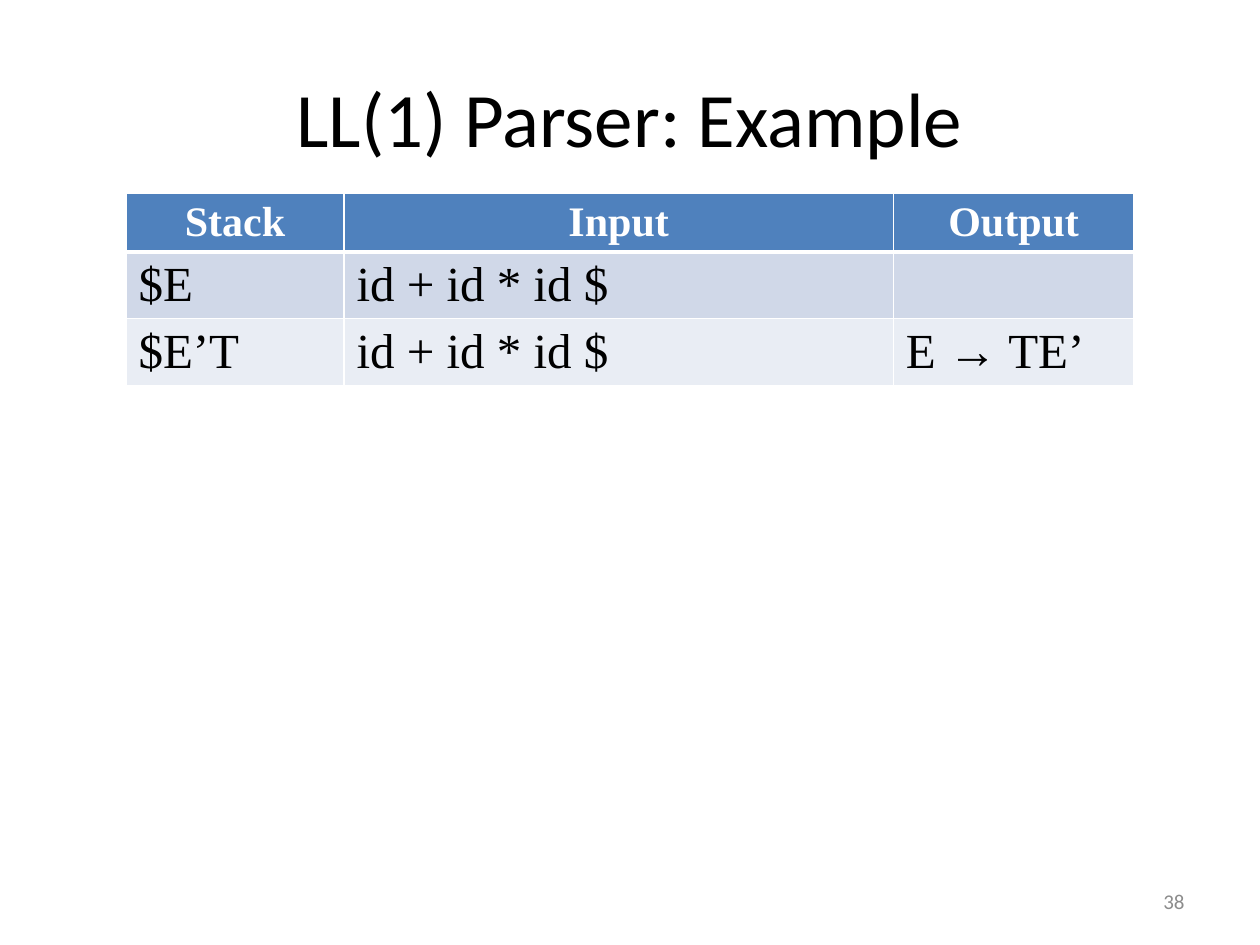
from dataclasses import dataclass

from lxml.etree import SubElement
from pptx import Presentation
from pptx.dml.color import RGBColor
from pptx.enum.text import MSO_ANCHOR as Anchor, PP_ALIGN as Align
from pptx.oxml.ns import qn
from pptx.util import Inches, Pt


@dataclass(frozen=True)
class Theme:
    heading_font: str = "Calibri"
    table_font: str = "Times New Roman"
    title_size: int = 44
    header_size: int = 24
    body_size: int = 28
    number_size: int = 12
    text: str = "000000"
    light: str = "FFFFFF"
    muted: str = "8C8C8C"
    header_fill: str = "4F81BD"
    bands: tuple = ("D0D8E8", "E9EDF4")
    thin_border: int = 1
    thick_border: int = 3


class SlideBuilder:
    """Adds consistently styled elements to one slide."""

    def __init__(self, slide, theme):
        self.slide = slide
        self.theme = theme

    def set_text(self, text_frame, text, font, size, color, align, bold=False):
        text_frame.text = text
        paragraph = text_frame.paragraphs[0]
        paragraph.alignment = align
        for run in paragraph.runs:
            run.font.name = font
            run.font.size = Pt(size)
            run.font.bold = bold
            run.font.color.rgb = RGBColor.from_string(color)

    def place(self, shape, left, top, width, height):
        shape.left, shape.top = Inches(left), Inches(top)
        shape.width, shape.height = Inches(width), Inches(height)

    def title(self, text, *box):
        theme = self.theme
        shape = self.slide.shapes.title
        self.place(shape, *box)
        shape.text_frame.vertical_anchor = Anchor.MIDDLE
        self.set_text(shape.text_frame, text, theme.heading_font,
                      theme.title_size, theme.text, Align.CENTER)

    def page_number(self, text, *box):
        theme = self.theme
        shape = self.slide.shapes.add_textbox(*map(Inches, box))
        shape.text_frame.word_wrap = True
        shape.text_frame.vertical_anchor = Anchor.MIDDLE
        self.set_text(shape.text_frame, text, theme.heading_font,
                      theme.number_size, theme.muted, Align.RIGHT)

    def border(self, cell, side, width):
        properties = cell._tc.get_or_add_tcPr()
        line = SubElement(properties, qn(f"a:ln{side}"), w=str(Pt(width)))
        fill = SubElement(line, qn("a:solidFill"))
        SubElement(fill, qn("a:srgbClr"), val=self.theme.light)

    def cell(self, cell, text, row):
        theme = self.theme
        header = row == 0
        for side in "LRTB":
            thick = (row, side) in ((0, "B"), (1, "T"))
            self.border(cell, side, theme.thick_border if thick else theme.thin_border)
        fill = theme.header_fill if header else theme.bands[(row - 1) % 2]
        cell.fill.solid()
        cell.fill.fore_color.rgb = RGBColor.from_string(fill)
        self.set_text(cell.text_frame, text, theme.table_font,
                      theme.header_size if header else theme.body_size,
                      theme.light if header else theme.text,
                      Align.CENTER if header else Align.LEFT, header)

    def table(self, rows, left, top, column_widths, row_height):
        frame = self.slide.shapes.add_table(
            len(rows), len(column_widths), Inches(left), Inches(top),
            Inches(sum(column_widths)), Inches(row_height * len(rows)))
        for column, width in zip(frame.table.columns, column_widths):
            column.width = Inches(width)
        for row, texts in enumerate(rows):
            for column, text in enumerate(texts):
                self.cell(frame.table.cell(row, column), text, row)


def main():
    presentation = Presentation()
    presentation.slide_width, presentation.slide_height = Inches(10), Inches(7.5)
    slide = presentation.slides.add_slide(
        presentation.slide_layouts.get_by_name("Title Only"))
    builder = SlideBuilder(slide, Theme())
    builder.title("LL(1) Parser: Example", 0.5, 0.3, 9, 1.25)
    parse_steps = [
        ("Stack", "Input", "Output"),
        ("$E", "id + id * id $", ""),
        ("$E’T", "id + id * id $", "E → TE’"),
    ]
    builder.table(parse_steps, 1, 1.53, (1.73, 4.36, 1.91), 0.41)
    builder.page_number("38", 7.17, 6.95, 2.33, 0.4)
    presentation.save("out.pptx")


if __name__ == "__main__":
    main()
